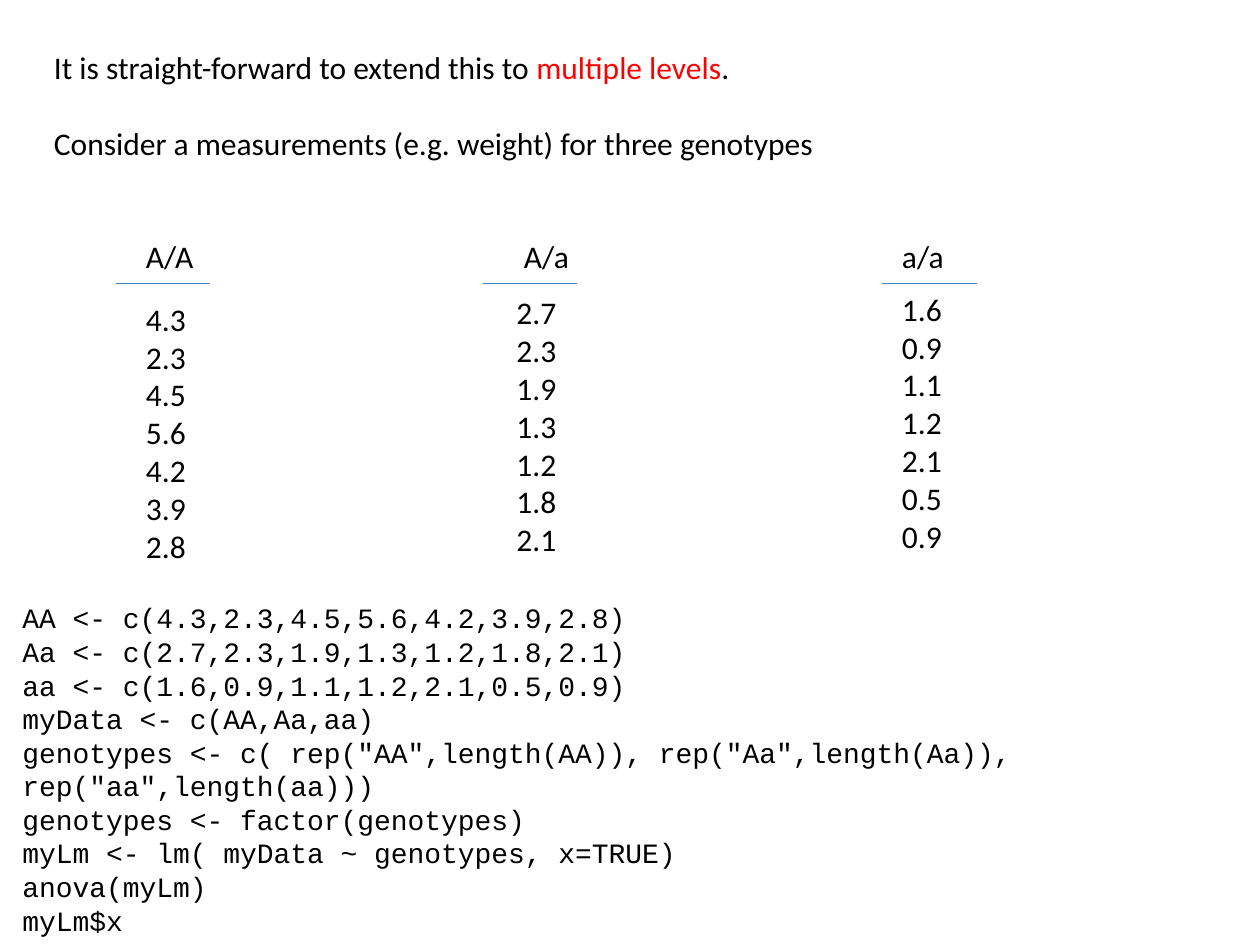
from lxml import etree
from pptx import Presentation
from pptx.dml.color import RGBColor
from pptx.enum.shapes import MSO_CONNECTOR
from pptx.enum.text import MSO_AUTO_SIZE
from pptx.oxml.ns import qn
from pptx.util import Inches, Pt

COLORS = {"text": "000000", "accent": "FF0000", "rule": "4B7EBC"}

HEADS = ["A/A", "A/a", "a/a"]
# Each group: rule left, values left, values top, values
GROUPS = [
    (0.92, 1.06, 2.33, ["4.3", "2.3", "4.5", "5.6", "4.2", "3.9", "2.8"]),
    (3.83, 4.0, 2.28, ["2.7", "2.3", "1.9", "1.3", "1.2", "1.8", "2.1"]),
    (7.0, 7.06, 2.25, ["1.6", "0.9", "1.1", "1.2", "2.1", "0.5", "0.9"]),
]
CODE = """AA <- c(4.3,2.3,4.5,5.6,4.2,3.9,2.8)
Aa <- c(2.7,2.3,1.9,1.3,1.2,1.8,2.1)
aa <- c(1.6,0.9,1.1,1.2,2.1,0.5,0.9)
myData <- c(AA,Aa,aa)
genotypes <- c( rep("AA",length(AA)), rep("Aa",length(Aa)), rep("aa",length(aa)))
genotypes <- factor(genotypes)
myLm <- lm( myData ~ genotypes, x=TRUE)
anova(myLm)
myLm$x"""


def color(name):
    return RGBColor.from_string(COLORS[name])


def add_text(slide, box, lines, font="Calibri", size=18, wrap=False, tabs=()):
    """Add a text box; a line is a list of (text, color name) runs."""
    frame = slide.shapes.add_textbox(*map(Inches, box)).text_frame
    frame.word_wrap = wrap
    frame.auto_size = MSO_AUTO_SIZE.SHAPE_TO_FIT_TEXT
    for i, line in enumerate(lines):
        para = frame.add_paragraph() if i else frame.paragraphs[0]
        if tabs:
            stops = etree.SubElement(para._p.get_or_add_pPr(), qn("a:tabLst"))
            for pos in tabs:
                etree.SubElement(stops, qn("a:tab"), pos=str(Inches(pos)), algn="l")
        para.font.name = font
        para.font.size = Pt(size)
        for text, name in line:
            run = para.add_run()
            run.text = text
            run.font.color.rgb = color(name)
    return frame


def plain(lines):
    return [[(line, "text")] for line in lines]


def add_intro(slide, box):
    first = [
        ("It is straight-forward to extend this to ", "text"),
        ("multiple levels", "accent"),
        (".", "text"),
    ]
    second = plain(["Consider a measurements (e.g. weight) for three genotypes"])
    frame = add_text(slide, box, [first] + second)
    frame.paragraphs[1].space_before = Pt(22)


def add_rule(slide, left, top, width):
    line = slide.shapes.add_connector(
        MSO_CONNECTOR.STRAIGHT, *map(Inches, (left, top, left + width, top))
    )
    line.line.color.rgb = color("rule")
    line.line.width = Pt(0.75)
    etree.SubElement(line._element.spPr, qn("a:effectLst"))


def add_groups(slide, box):
    left, top, width, height = box
    # Headings share one row, three inches apart
    add_text(slide, (left, top, width, 0.4), plain(["\t".join(HEADS)]), tabs=(3, 6))
    # Rule and values of each genotype
    for rule, x, y, values in GROUPS:
        add_rule(slide, rule, top + 0.42, 0.75)
        add_text(slide, (x, y, 0.52, 2.22), plain(values))


def add_code(slide, box):
    add_text(slide, box, plain(CODE.split("\n")), "Courier New", 16, wrap=True)


def main():
    deck = Presentation()
    deck.slide_width, deck.slide_height = Inches(10), Inches(7.5)
    slide = deck.slides.add_slide(deck.slide_layouts[6])
    add_intro(slide, (0.33, 0.33, 6.3, 1.01))
    add_groups(slide, (1.06, 1.83, 6.69, 2.72))
    add_code(slide, (0.08, 4.72, 9.9, 2.77))
    deck.save("out.pptx")


if __name__ == "__main__":
    main()
